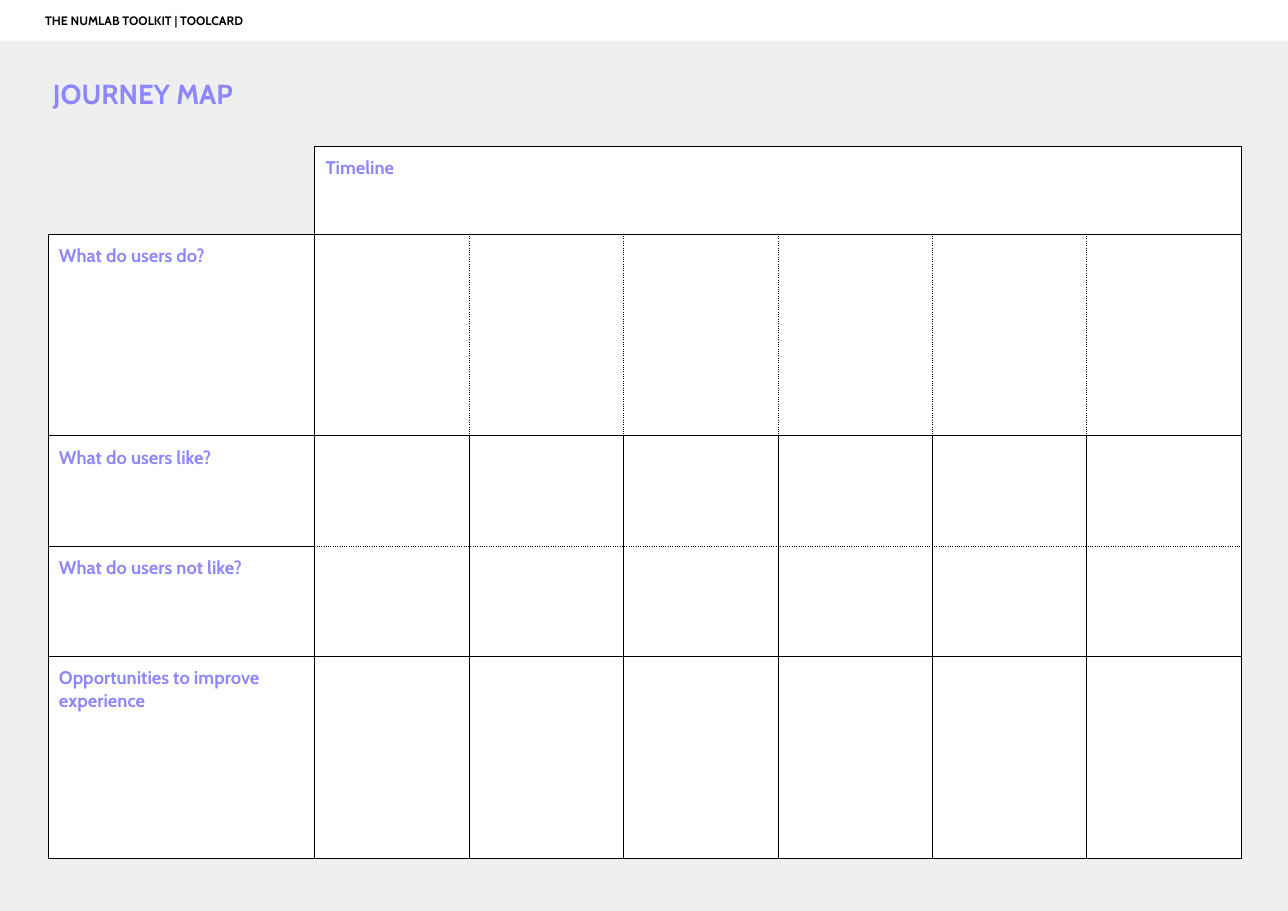
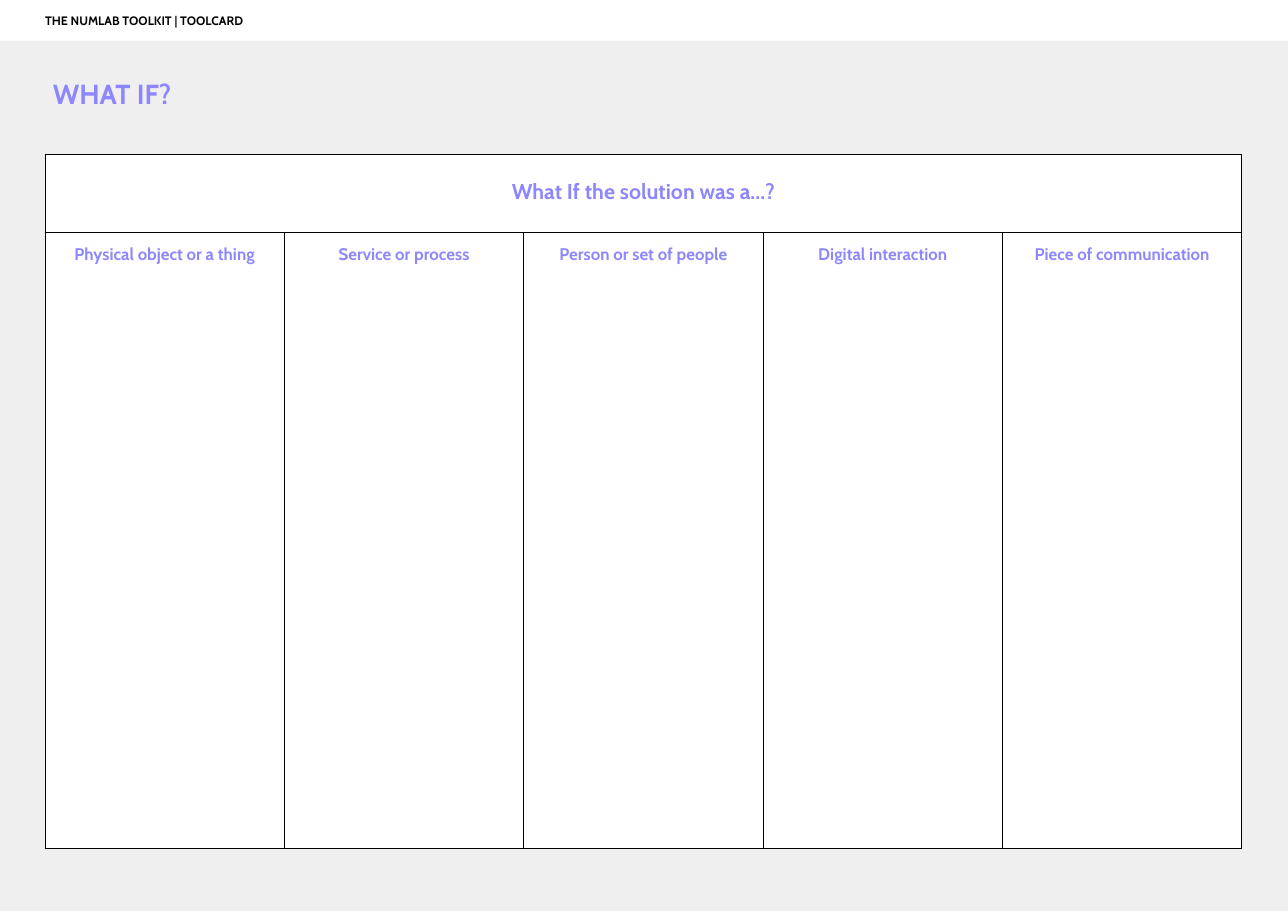
"""Build two toolkit worksheets: a journey map and a what-if grid."""
from lxml import etree
from pptx import Presentation
from pptx.dml.color import RGBColor
from pptx.enum.shapes import MSO_SHAPE
from pptx.enum.text import MSO_ANCHOR, PP_ALIGN
from pptx.oxml.ns import qn
from pptx.util import Cm, Pt

RECTANGLE = MSO_SHAPE.RECTANGLE
TOP, MIDDLE = MSO_ANCHOR.TOP, MSO_ANCHOR.MIDDLE
LEFT, CENTER = PP_ALIGN.LEFT, PP_ALIGN.CENTER

LILAC = RGBColor(0x8D, 0x86, 0xFC)
GREY = RGBColor(0xEF, 0xEF, 0xEF)
WHITE = RGBColor(0xFF, 0xFF, 0xFF)
BLACK = RGBColor(0x00, 0x00, 0x00)

FONT = "Cabin"
BAND_TEXT = "THE NUMLAB TOOLKIT | TOOLCARD"
PLAIN_TABLE = "{2D5ABB26-0587-4C30-8999-92F81FD0307C}"
INSET = Cm(0.25)
SIDES = ("L", "R", "T", "B")
WIDTH, HEIGHT = Cm(29.7), Cm(21)

JOURNEY_DOTS = (
    {(1, column, "R") for column in range(1, 6)}
    | {(1, column, "L") for column in range(2, 7)}
    | {(2, column, "B") for column in range(1, 7)}
    | {(3, column, "T") for column in range(1, 7)}
)

PAGES = [
    {
        "title": "JOURNEY MAP",
        "left": 1.11, "top": 3.37,
        "columns": [6.15] + [3.56] * 6,
        "rows": [2.03, 4.65, 2.54, 2.54, 4.65],
        "merge": ((0, 1), (0, 6)),
        "open_corner": True,
        "dots": JOURNEY_DOTS,
        "align": LEFT,
        "sizes": {0: 12, 1: 12},
        "header_spacing": 1.0,
        "texts": {
            (0, 1): "Timeline",
            (1, 0): "What do users do?",
            (2, 0): "What do users like?",
            (3, 0): "What do users not like?",
            (4, 0): "Opportunities to improve experience",
        },
    },
    {
        "title": "WHAT IF?",
        "left": 1.04, "top": 3.57,
        "columns": [5.52] * 5,
        "rows": [1.8, 14.18],
        "merge": ((0, 0), (0, 4)),
        "open_corner": False,
        "dots": set(),
        "align": CENTER,
        "sizes": {0: 14, 1: 11},
        "header_spacing": 1.5,
        "texts": {
            (0, 0): "What If the solution was a...?",
            (1, 0): "Physical object or a thing",
            (1, 1): "Service or process",
            (1, 2): "Person or set of people",
            (1, 3): "Digital interaction",
            (1, 4): "Piece of communication",
        },
    },
]


def write(frame, text, size, color, align=LEFT, indent=0):
    """Put one bold paragraph in a text frame."""
    para = frame.paragraphs[0]
    para.alignment = align
    if indent:
        para._p.get_or_add_pPr().set("marL", str(Cm(indent)))
    span = para.add_run()
    span.text = text
    for name, value in {"name": FONT, "size": Pt(size), "bold": True}.items():
        setattr(span.font, name, value)
    span.font.color.rgb = color
    return para


def add_panel(page, width, height, color):
    """Add a plain rectangle at the top left of the page."""
    panel = page.shapes.add_shape(RECTANGLE, 0, 0, width, height)
    panel.shadow.inherit = False
    panel.fill.solid()
    panel.fill.fore_color.rgb = color
    panel.line.fill.background()
    return panel


deck = Presentation()
deck.slide_width, deck.slide_height = WIDTH, HEIGHT
frame_format = {
    "word_wrap": True, "vertical_anchor": MIDDLE,
    "margin_left": INSET, "margin_right": INSET,
    "margin_top": INSET, "margin_bottom": INSET,
}
cell_format = {name: value for name, value in frame_format.items() if name != "word_wrap"}
cell_format["vertical_anchor"] = TOP

for content in PAGES:
    page = deck.slides.add_slide(deck.slide_layouts[6])
    add_panel(page, WIDTH, HEIGHT, GREY)
    title = page.shapes.add_textbox(0, Cm(1.5), Cm(16.87), Cm(1.3))

    columns, rows = content["columns"], content["rows"]
    graphic = page.shapes.add_table(
        len(rows), len(columns), Cm(content["left"]), Cm(content["top"]),
        Cm(sum(columns)), Cm(sum(rows)))
    table = graphic.table
    table.first_row = table.horz_banding = False
    table._tbl.tblPr.find(qn("a:tableStyleId")).text = PLAIN_TABLE
    for index, width in enumerate(columns):
        table.columns[index].width = Cm(width)
    for index, height in enumerate(rows):
        table.rows[index].height = Cm(height)

    for row in range(len(rows)):
        for column in range(len(columns)):
            cell = table.cell(row, column)
            is_open = content["open_corner"] and (row, column) == (0, 0)
            for name, value in cell_format.items():
                setattr(cell, name, value)
            properties = cell._tc.get_or_add_tcPr()
            for side in SIDES:
                if is_open and side in "LT":
                    continue
                border = etree.SubElement(properties, qn(f"a:ln{side}"), w=str(Pt(0.75)))
                paint = etree.SubElement(border, qn("a:solidFill"))
                etree.SubElement(paint, qn("a:srgbClr"), val=str(BLACK))
                dash = "dot" if (row, column, side) in content["dots"] else "solid"
                etree.SubElement(border, qn("a:prstDash"), val=dash)
            if is_open:
                cell.fill.background()
            else:
                cell.fill.solid()
                cell.fill.fore_color.rgb = WHITE

    first, last = content["merge"]
    table.cell(*first).merge(table.cell(*last))
    for place, text in content["texts"].items():
        size = content["sizes"][min(place[0], 1)]
        para = write(table.cell(*place).text_frame, text, size, LILAC, content["align"])
        if place[0] == 0:
            para.line_spacing = content["header_spacing"]

    band = add_panel(page, WIDTH, Cm(0.94), WHITE)
    for box in (title, band):
        for name, value in frame_format.items():
            setattr(box.text_frame, name, value)
    write(title.text_frame, content["title"], 18, LILAC, indent=0.97)
    write(band.text_frame, BAND_TEXT, 8, BLACK, indent=0.79)

deck.save("out.pptx")
